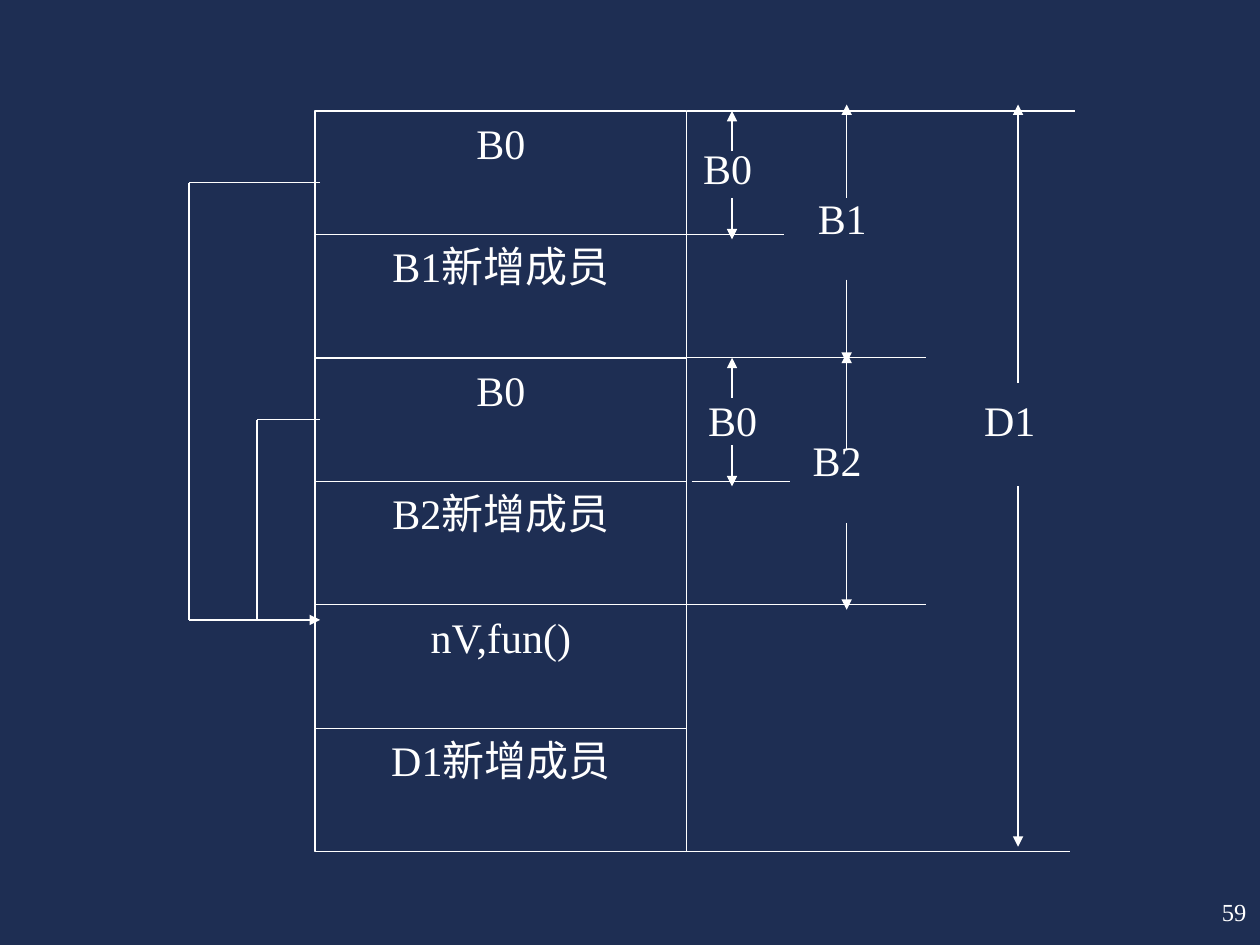
from lxml import etree
from pptx import Presentation
from pptx.dml.color import RGBColor
from pptx.enum.shapes import MSO_CONNECTOR, MSO_SHAPE
from pptx.enum.text import MSO_ANCHOR, MSO_AUTO_SIZE, PP_ALIGN
from pptx.oxml.ns import qn
from pptx.util import Inches, Pt

STRAIGHT = MSO_CONNECTOR.STRAIGHT
RECT = MSO_SHAPE.RECTANGLE
TOP = MSO_ANCHOR.TOP
GROW = MSO_AUTO_SIZE.SHAPE_TO_FIT_TEXT
CENTER, RIGHT, JUSTIFY = PP_ALIGN.CENTER, PP_ALIGN.RIGHT, PP_ALIGN.JUSTIFY

NAVY, WHITE = "1E2E53", "FFFFFF"
FONT = "Times New Roman"
LINE_WIDTH = Pt(0.75)

MEMBERS = ["B0", "B1新增成员", "B0", "B2新增成员", "nV,fun()", "D1新增成员"]
ROW_H = 0.98


def color(value):
    return RGBColor.from_string(value)


def write(tf, text, size=24, align=CENTER, inset=(0, 0), before=None):
    """Fill a text frame; inset is (horizontal, vertical) in inches."""
    tf.word_wrap = True
    tf.vertical_anchor = TOP
    tf.margin_left = tf.margin_right = Inches(inset[0])
    tf.margin_top = tf.margin_bottom = Inches(inset[1])
    p = tf.paragraphs[0]
    p.alignment = align
    if before is not None:
        p.space_before = Pt(before)
    r = p.add_run()
    r.text = text
    r.font.name = FONT
    r.font.size = Pt(size)
    r.font.color.rgb = color(WHITE)


def add_text(s, text, left, top, width, height, **fmt):
    sp = s.shapes.add_textbox(Inches(left), Inches(top), Inches(width), Inches(height))
    write(sp.text_frame, text, **fmt)
    return sp


def add_line(s, x1, y1, x2, y2, arrow=False):
    c = s.shapes.add_connector(STRAIGHT, Inches(x1), Inches(y1), Inches(x2), Inches(y2))
    c.line.color.rgb = color(WHITE)
    c.line.width = LINE_WIDTH
    if arrow:
        etree.SubElement(c.line._get_or_add_ln(), qn("a:tailEnd"), type="triangle")
    etree.SubElement(c._element.spPr, qn("a:effectLst"))


def add_member_stack(s, left, top, width):
    for i, member in enumerate(MEMBERS):
        sp = s.shapes.add_shape(RECT, Inches(left), Inches(top + i * ROW_H),
                                Inches(width), Inches(ROW_H))
        sp.shadow.inherit = False
        sp.fill.background()
        sp.line.color.rgb = color(WHITE)
        sp.line.width = LINE_WIDTH
        write(sp.text_frame, member, inset=(0, 0.05))


def add_extension_lines(s, left, top):
    # row boundary, start offset, end offset
    for row, start, end in [(0, 0, 3.08), (1, 0, 0.77), (2, 0, 1.9),
                            (3, 0.04, 0.82), (4, 0, 1.9), (6, -0.05, 3.04)]:
        y = top + row * ROW_H
        add_line(s, left + start, y, left + end, y)


def add_dimension(s, x, top, bottom, gap, text, text_at):
    """Two arrows pointing outward from a gap, with a label beside the gap."""
    add_line(s, x, gap[0], x, top, arrow=True)
    add_line(s, x, gap[1], x, bottom, arrow=True)
    add_text(s, text, *text_at, 0.82, 0.61, align=JUSTIFY)


def add_dimensions(s, left):
    inner, middle, outer = left + 0.36, left + 1.27, left + 2.63
    add_dimension(s, inner, 0.88, 1.9, (1.2, 1.57), "B0", (5.58, 1.13))
    add_dimension(s, inner, 2.84, 3.86, (3.16, 3.53), "B0", (5.62, 3.13))
    add_dimension(s, middle, 0.83, 2.88, (1.57, 2.22), "B1", (6.49, 1.53))
    add_dimension(s, middle, 2.8, 4.84, (3.57, 4.15), "B2", (6.45, 3.45))
    add_dimension(s, outer, 0.83, 6.72, (3.04, 3.86), "D1", (7.81, 3.13))


def add_pointers(s, left, right, bottom):
    """Both B0 parts lead to the shared nV,fun() member."""
    for x, y in [(left, 1.45), (left + 0.54, 3.33)]:
        add_line(s, right, y, x, y)
        add_line(s, x, y, x, bottom)
    add_line(s, left, bottom, right, bottom, arrow=True)


def add_page_number(s, left, top, width, height):
    sp = add_text(s, "59", left, top, width, height, size=14, align=RIGHT,
                  inset=(0.1, 0.05), before=8.8)
    sp.text_frame.auto_size = GROW


def main():
    prs = Presentation()
    prs.slide_width, prs.slide_height = Inches(10), Inches(7.5)
    s = prs.slides.add_slide(prs.slide_layouts[6])
    s.background.fill.solid()
    s.background.fill.fore_color.rgb = color(NAVY)
    left, top, width = 2.5, 0.88, 2.95
    add_member_stack(s, left, top, width)
    add_extension_lines(s, left + width, top)
    add_dimensions(s, left + width)
    add_pointers(s, 1.5, 2.54, 4.92)
    add_page_number(s, 9.32, 7.07, 0.67, 0.34)
    prs.save("out.pptx")


if __name__ == "__main__":
    main()
